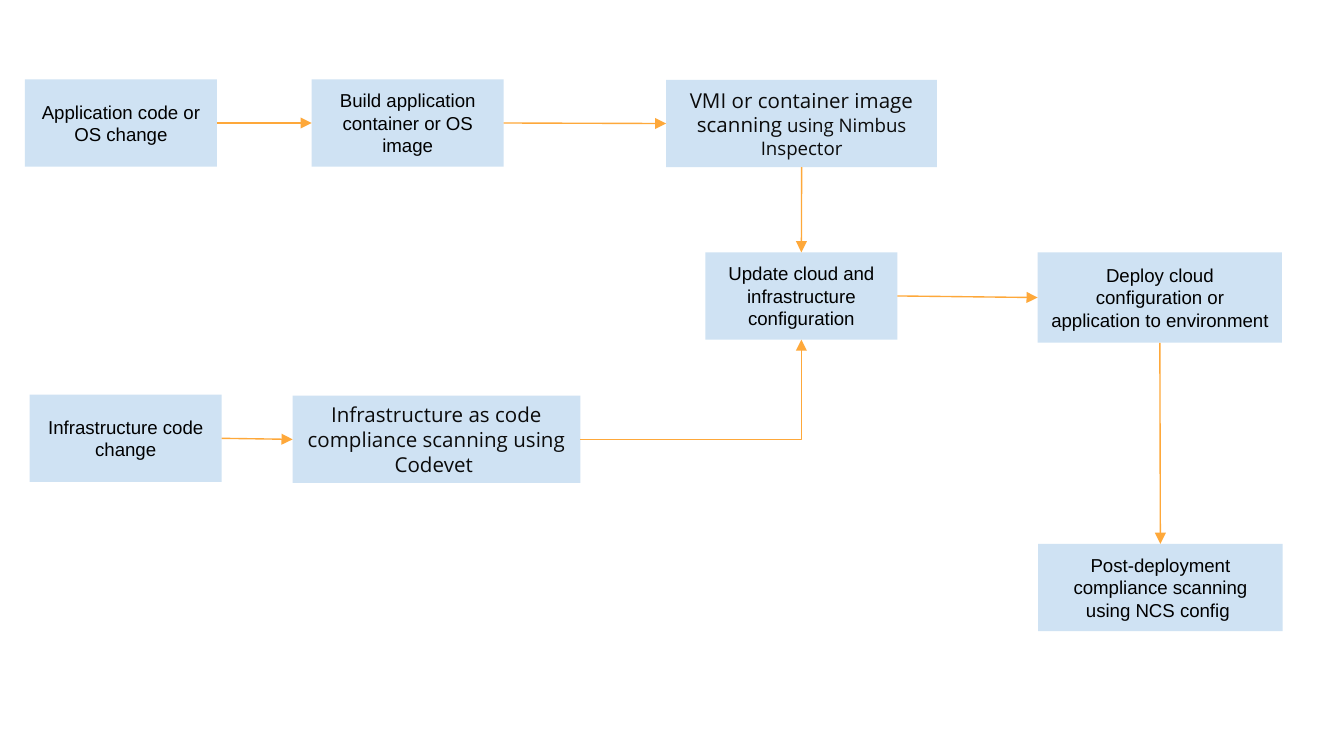
from dataclasses import dataclass

from lxml import etree
from pptx import Presentation
from pptx.dml.color import RGBColor
from pptx.enum import shapes, text
from pptx.oxml import ns
from pptx import util as u


@dataclass(frozen=True)
class Theme:
    box: str = "CFE2F3"
    line: str = "FEA83A"
    black: str = "000000"
    dark: str = "0B0B0B"
    base: str = "Arial"
    scan: str = "Open Sans"
    small: float = 10
    large: float = 11
    rule: float = 0.75


@dataclass(frozen=True)
class Run:
    words: str
    font: str
    size: float
    color: str


@dataclass(frozen=True)
class Step:
    name: str
    left: float
    top: float
    runs: tuple[Run, ...]
    width: float = 3.63
    height: float = 1.65


@dataclass(frozen=True)
class Link:
    start: str
    out: int
    end: str
    into: int
    bent: bool = False


LOOK = Theme()
TOP, LEFT, BOTTOM, RIGHT = range(4)
WIDE = 4.62  # deployment boxes, cm


def plain(words: str) -> tuple[Run, ...]:
    return (Run(words, LOOK.base, LOOK.small, LOOK.black),)


def scan(words: str, size: float = LOOK.large) -> Run:
    return Run(words, LOOK.scan, size, LOOK.dark)


# Steps of the pipeline, in cm
STEPS = (
    Step("build", 5.89, 1.5, plain("Build application container or OS image")),
    Step("deploy", 19.61, 4.77,
         plain("Deploy cloud configuration or application to environment"), WIDE, 1.71),
    Step("update", 13.33, 4.77, plain("Update cloud and infrastructure configuration")),
    Step("app", 0.47, 1.5, plain("Application code or OS change")),
    Step("infra", 0.56, 7.46, plain("Infrastructure code change")),
    Step("image", 12.59, 1.51,
         (scan("VMI or container image scanning"),
          scan(" using Nimbus Inspector", LOOK.small)), 5.12),
    Step("code", 5.53, 7.48,
         (scan("Infrastructure as code compliance scanning using Codevet "),), 5.44),
    Step("post", 19.62, 10.28,
         plain("Post-deployment compliance scanning using NCS config "), WIDE),
)

LINKS = (
    Link("app", RIGHT, "build", LEFT),
    Link("build", RIGHT, "image", LEFT),
    Link("image", BOTTOM, "update", TOP),
    Link("infra", RIGHT, "code", LEFT),
    Link("code", RIGHT, "update", BOTTOM, bent=True),
    Link("update", RIGHT, "deploy", LEFT),
    Link("deploy", BOTTOM, "post", TOP),
)


def draw_step(slide, step: Step):
    box = slide.shapes.add_shape(
        shapes.MSO_SHAPE.RECTANGLE,
        *(u.Cm(v) for v in (step.left, step.top, step.width, step.height)))
    box.shadow.inherit = False
    box.fill.solid()
    box.fill.fore_color.rgb = RGBColor.from_string(LOOK.box)
    box.line.fill.background()

    frame = box.text_frame
    pad = u.Cm(0.25)
    style = {"word_wrap": True, "vertical_anchor": text.MSO_ANCHOR.MIDDLE,
             "margin_left": pad, "margin_right": pad,
             "margin_top": pad, "margin_bottom": pad}
    for key, value in style.items():
        setattr(frame, key, value)

    para = frame.paragraphs[0]
    para.alignment = text.PP_ALIGN.CENTER
    for part in step.runs:
        run = para.add_run()
        run.text = part.words
        for key, value in {"name": part.font, "size": u.Pt(part.size)}.items():
            setattr(run.font, key, value)
        run.font.color.rgb = RGBColor.from_string(part.color)
    return box


def draw_link(slide, link: Link, boxes: dict) -> None:
    kind = shapes.MSO_CONNECTOR.ELBOW if link.bent else shapes.MSO_CONNECTOR.STRAIGHT
    wire = slide.shapes.add_connector(kind, 0, 0, 0, 0)
    wire.begin_connect(boxes[link.start], link.out)
    wire.end_connect(boxes[link.end], link.into)
    wire.line.color.rgb = RGBColor.from_string(LOOK.line)
    wire.line.width = u.Pt(LOOK.rule)

    # Arrowhead, no shadow, and a single bend for the elbow
    props = wire._element.spPr
    etree.SubElement(props.find(ns.qn("a:ln")), ns.qn("a:tailEnd"), type="triangle")
    etree.SubElement(props, ns.qn("a:effectLst"))
    if link.bent:
        props.find(ns.qn("a:prstGeom")).set("prst", "bentConnector2")


def main() -> None:
    deck = Presentation()
    deck.slide_width, deck.slide_height = u.Cm(25.4), u.Cm(14.29)
    slide = deck.slides.add_slide(deck.slide_layouts[6])

    # Boxes first, then the arrows between them
    boxes = {step.name: draw_step(slide, step) for step in STEPS}
    for link in LINKS:
        draw_link(slide, link, boxes)
    deck.save("out.pptx")


if __name__ == "__main__":
    main()
